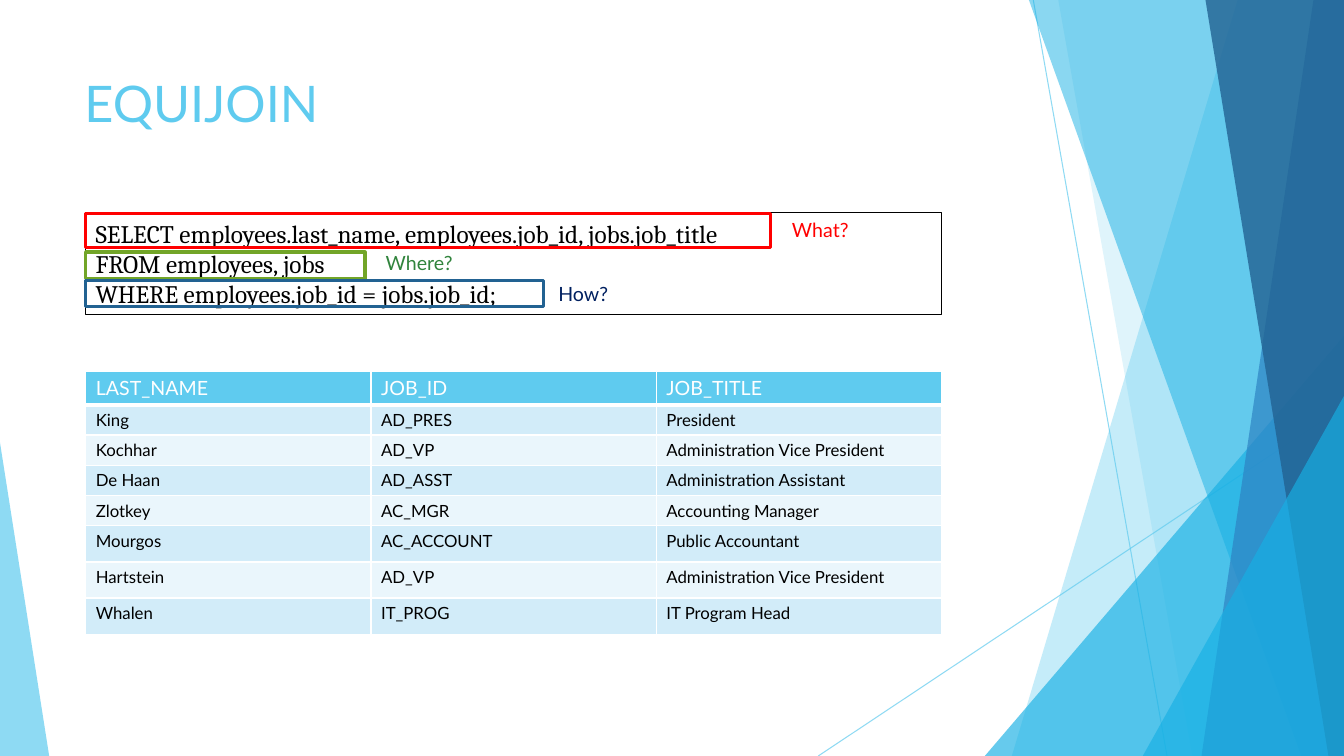
from pptx import Presentation
from pptx.dml.color import RGBColor as RGB
from pptx.enum.shapes import MSO_CONNECTOR as LINK, MSO_SHAPE as KIND
from pptx.enum.text import MSO_ANCHOR as ANCHOR, MSO_AUTO_SIZE as FIT, PP_ALIGN as ALIGN
from pptx.oxml.ns import qn
from pptx.util import Cm, Pt
from lxml.etree import SubElement as Sub

theme = {
    "sky": "5FCBEF", "cyan": "17B0E4", "blue": "2E83C3", "navy": "226292",
    "red": "FF0000", "lime": "72A528", "green": "31843D", "ink": "002060",
    "black": "000000", "white": "FFFFFF", "odd": "D2ECF9", "even": "EAF6FC",
    "title": {"size": Pt(36), "name": "Lato"},
    "code": {"size": Pt(18), "name": "Cambria"},
    "label": {"size": Pt(14), "name": "Lato"},
    "body": {"size": Pt(12), "name": "Lato"},
}


def write(para, text, style, tone):
    run = para.add_run()
    run.text = text
    para.alignment = ALIGN.LEFT
    for key, value in theme[style].items():
        setattr(run.font, key, value)
    run.font.color.rgb = RGB.from_string(theme[tone])


def fade(shape, alpha):
    for color in shape._element.spPr.iter(qn("a:srgbClr")):
        Sub(color, qn("a:alpha"), val=str(alpha * 1000))


deck = Presentation()
wide, high = Cm(33.87), Cm(19.05)
deck.slide_width, deck.slide_height = wide, high
slide = deck.slides.add_slide(deck.slide_layouts[6])
shapes = slide.shapes

# Thin background lines
for ends in [(26.04, 0, 29.41, 19.05), (33.87, 10.24, 20.62, 19.05)]:
    line = shapes.add_connector(LINK.STRAIGHT, *map(Cm, ends))
    line.line.width = Pt(0.75)
    line.line.color.rgb = RGB.from_string(theme["sky"])
    fade(line, 70)
    Sub(line._element.spPr, qn("a:effectLst"))

# Background facets: bands (top x, bottom x) reach the right edge,
# triangles (left, top, width, height, apex) stand on the bottom
facets = [
    ("sky", 36, (31.19, 25.5)),
    ("sky", 20, (26.67, 30.05)),
    ("cyan", 66, (24.82, 8.46, 9.05, 10.59, 1)),
    ("cyan", 50, (25.93, 32.79)),
    ("blue", 70, (33.1, 30.28)),
    ("navy", 80, (30.38, 33.48)),
    ("cyan", 66, (28.8, 9.98, 5.07, 9.07, 1)),
    ("sky", 70, (0, 11.15, 1.24, 7.9, 0)),
]
for tone, alpha, dims in facets:
    if len(dims) == 2:
        top, base = map(Cm, dims)
        pen = shapes.build_freeform(top, 0)
        pen.add_line_segments([(wide, 0), (wide, high), (base, high)])
        facet = pen.convert_to_shape()
    else:
        facet = shapes.add_shape(KIND.ISOSCELES_TRIANGLE, *map(Cm, dims[:4]))
        facet.adjustments[0] = dims[4]
    facet.shadow.inherit = False
    facet.fill.solid()
    facet.fill.fore_color.rgb = RGB.from_string(theme[tone])
    facet.line.fill.background()
    fade(facet, alpha)

# Title
title = shapes.add_textbox(Cm(1.88), Cm(1.7), Cm(23.88), Cm(3.66))
title.text_frame.word_wrap = True
write(title.text_frame.paragraphs[0], "EQUIJOIN", "title", "sky")

# Query box
query = [
    "SELECT employees.last_name, employees.job_id, jobs.job_title",
    "FROM employees, jobs",
    "WHERE employees.job_id = jobs.job_id;",
]
box = shapes.add_shape(KIND.RECTANGLE, Cm(2.16), Cm(5.36), Cm(21.56), Cm(2.57))
box.shadow.inherit = False
box.fill.background()
box.line.width = Pt(0.75)
box.line.color.rgb = RGB.from_string(theme["black"])
frame = box.text_frame
for key, value in {"word_wrap": True, "auto_size": FIT.SHAPE_TO_FIT_TEXT,
                   "vertical_anchor": ANCHOR.MIDDLE}.items():
    setattr(frame, key, value)
for i, text in enumerate(query):
    para = frame.add_paragraph() if i else frame.paragraphs[0]
    write(para, text, "code", "black")

# Result table
rows = [
    ("LAST_NAME", "JOB_ID", "JOB_TITLE"),
    ("King", "AD_PRES", "President"),
    ("Kochhar", "AD_VP", "Administration Vice President"),
    ("De Haan", "AD_ASST", "Administration Assistant"),
    ("Zlotkey", "AC_MGR", "Accounting Manager"),
    ("Mourgos", "AC_ACCOUNT", "Public Accountant"),
    ("Hartstein", "AD_VP", "Administration Vice President"),
    ("Whalen", "IT_PROG", "IT Program Head"),
]
tall = [0.74] + [0.66] * 4 + [0.91] * 3
grid = shapes.add_table(len(rows), 3, Cm(2.16), Cm(9.35), Cm(21.57), Cm(sum(tall))).table
for col in grid.columns:
    col.width = Cm(7.19)
for r, row in enumerate(rows):
    grid.rows[r].height = Cm(tall[r])
    tone = ("odd" if r % 2 else "even") if r else "sky"
    for c, text in enumerate(row):
        cell = grid.cell(r, c)
        props = cell._tc.get_or_add_tcPr()
        for side in "LRTB":
            size = Pt(3) if r == 0 and side == "B" else Pt(1)
            edge = Sub(props, qn("a:ln" + side), w=str(size))
            Sub(Sub(edge, qn("a:solidFill")), qn("a:srgbClr"), val=theme["white"])
        cell.fill.solid()
        cell.fill.fore_color.rgb = RGB.from_string(theme[tone])
        style, ink = ("body", "black") if r else ("label", "white")
        write(cell.text_frame.paragraphs[0], text, style, ink)

# Frames around the clauses
for tone, top, width, height in [("red", 5.38, 17.27, 0.86), ("lime", 6.35, 7.04, 0.66),
                                 ("navy", 7.06, 11.53, 0.66)]:
    mark = shapes.add_shape(KIND.RECTANGLE, Cm(2.16), Cm(top), Cm(width), Cm(height))
    mark.shadow.inherit = False
    mark.fill.background()
    mark.line.width = Pt(2.25)
    mark.line.color.rgb = RGB.from_string(theme[tone])

# Questions beside the frames
for text, tone, left, top in [("What?", "red", 19.71, 5.36), ("Where?", "green", 9.47, 6.2),
                              ("How?", "ink", 13.82, 6.99)]:
    tag = shapes.add_textbox(Cm(left), Cm(top), Cm(2.41), Cm(0.86))
    tag.text_frame.word_wrap = True
    tag.text_frame.auto_size = FIT.SHAPE_TO_FIT_TEXT
    write(tag.text_frame.paragraphs[0], text, "label", tone)

deck.save("out.pptx")
